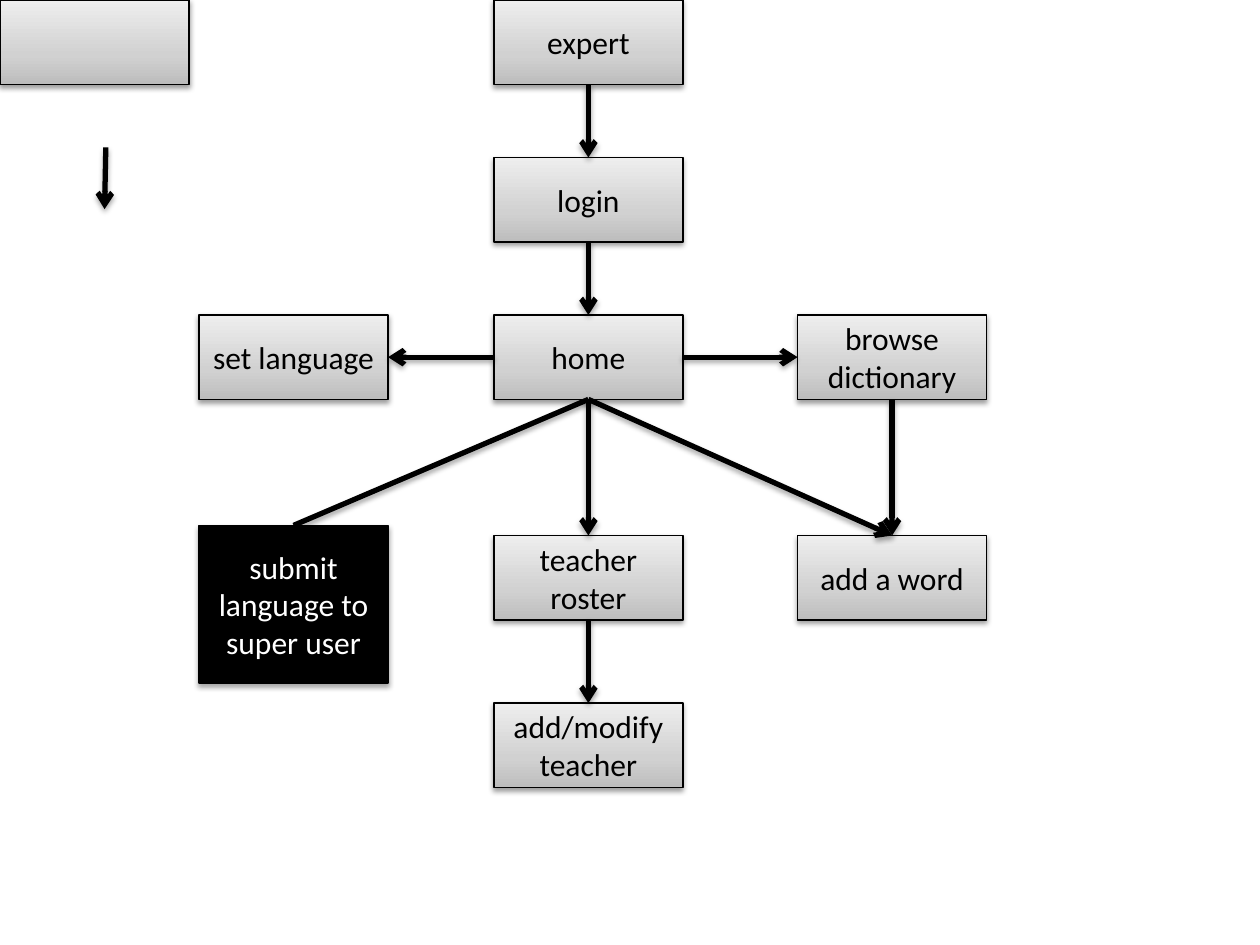
from lxml import etree
from pptx import Presentation
from pptx.dml.color import RGBColor
from pptx.enum.shapes import MSO_CONNECTOR, MSO_SHAPE
from pptx.enum.text import MSO_ANCHOR, PP_ALIGN
from pptx.oxml import parse_xml
from pptx.oxml.ns import nsdecls, qn
from pptx.util import Inches, Pt

PROCESS = MSO_SHAPE.FLOWCHART_PROCESS
STRAIGHT = MSO_CONNECTOR.STRAIGHT
MIDDLE = MSO_ANCHOR.MIDDLE
CENTER = PP_ALIGN.CENTER
TOP, LEFT, BOTTOM, RIGHT = range(4)

BLACK, WHITE = "000000", "FFFFFF"
GRADIENT = [(0, "BDBDBD"), (35, "D1D1D1"), (100, "EEEEEE")]
BOX_W, BOX_H = 1.5, 0.67
LEFT_X, MID_X, RIGHT_X = 1.58, 3.92, 6.33

BOXES = {
    "expert": (MID_X, 0),
    "": (0, 0),
    "login": (MID_X, 1.25),
    "set language": (LEFT_X, 2.5),
    "home": (MID_X, 2.5),
    "browse dictionary": (RIGHT_X, 2.5),
    "teacher roster": (MID_X, 4.25),
    "add a word": (RIGHT_X, 4.25),
    "add/modify teacher": (MID_X, 5.58),
}
SUBMIT = "submit language to super user"
LINKS = [
    ("expert", BOTTOM, "login", TOP),
    ("login", BOTTOM, "home", TOP),
    ("home", LEFT, "set language", RIGHT),
    ("home", RIGHT, "browse dictionary", LEFT),
    ("home", BOTTOM, "teacher roster", TOP),
    ("home", BOTTOM, "add a word", TOP),
    ("browse dictionary", BOTTOM, "add a word", TOP),
    ("teacher roster", BOTTOM, "add/modify teacher", TOP),
]


def rgb(value):
    return RGBColor.from_string(value)


def set_format(target, values):
    for name, value in values.items():
        setattr(target, name, value)


def set_line(shape, width):
    shape.line.color.rgb = rgb(BLACK)
    shape.line.width = Pt(width)


def add_shadow(shape, opacity, distance):
    effects = etree.SubElement(shape._element.spPr, qn("a:effectLst"))
    effects.append(parse_xml(
        f'<a:outerShdw {nsdecls("a")} blurRad="{Pt(3.1)}" dist="{Pt(distance)}" '
        f'dir="5400000" rotWithShape="0"><a:srgbClr val="{BLACK}">'
        f'<a:alpha val="{opacity * 1000}"/></a:srgbClr></a:outerShdw>'))


def fill_gradient(shape):
    stops = "".join(f'<a:gs pos="{pos * 1000}"><a:srgbClr val="{color}"/></a:gs>'
                    for pos, color in GRADIENT)
    shape.fill.background()
    spPr = shape._element.spPr
    spPr.replace(spPr.find(qn("a:noFill")), parse_xml(
        f'<a:gradFill {nsdecls("a")} rotWithShape="1"><a:gsLst>{stops}</a:gsLst>'
        f'<a:lin ang="16200000" scaled="0"/></a:gradFill>'))


def add_box(s, text, x, y, h=BOX_H, dark=False):
    sp = s.shapes.add_shape(PROCESS, Inches(x), Inches(y), Inches(BOX_W), Inches(h))
    if dark:
        sp.fill.solid()
        sp.fill.fore_color.rgb = rgb(BLACK)
    else:
        fill_gradient(sp)
    set_line(sp, 0.75)
    add_shadow(sp, *((35, 1.8) if dark else (38, 1.6)))
    if text:
        tf = sp.text_frame
        set_format(tf, {"word_wrap": True, "vertical_anchor": MIDDLE})
        p = tf.paragraphs[0]
        p.alignment = CENTER
        r = p.add_run()
        r.text = text
        set_format(r.font, {"name": "Calibri", "size": Pt(18)})
        r.font.color.rgb = rgb(WHITE if dark else BLACK)
    return sp


def add_line(s, points=(0, 0, 0, 0), arrow=True):
    line = s.shapes.add_connector(STRAIGHT, *map(Inches, points))
    set_line(line, 3)
    if arrow:
        etree.SubElement(line.line._get_or_add_ln(), qn("a:tailEnd"), type="arrow")
    add_shadow(line, 35, 1.8)
    return line


def link(s, start, start_site, end, end_site, arrow=True):
    line = add_line(s, arrow=arrow)
    line.begin_connect(start, start_site)
    line.end_connect(end, end_site)


def main():
    prs = Presentation()
    prs.slide_width, prs.slide_height = Inches(10), Inches(7.5)
    s = prs.slides.add_slide(prs.slide_layouts[6])
    boxes = {text: add_box(s, text, x, y) for text, (x, y) in BOXES.items()}
    submit = add_box(s, SUBMIT, LEFT_X, 4.17, 1.25, dark=True)
    for start, start_site, end, end_site in LINKS:
        link(s, boxes[start], start_site, boxes[end], end_site)
    link(s, boxes["home"], BOTTOM, submit, TOP, arrow=False)
    add_line(s, (0.84, 1.17, 0.83, 1.66))
    prs.save("out.pptx")


main()
